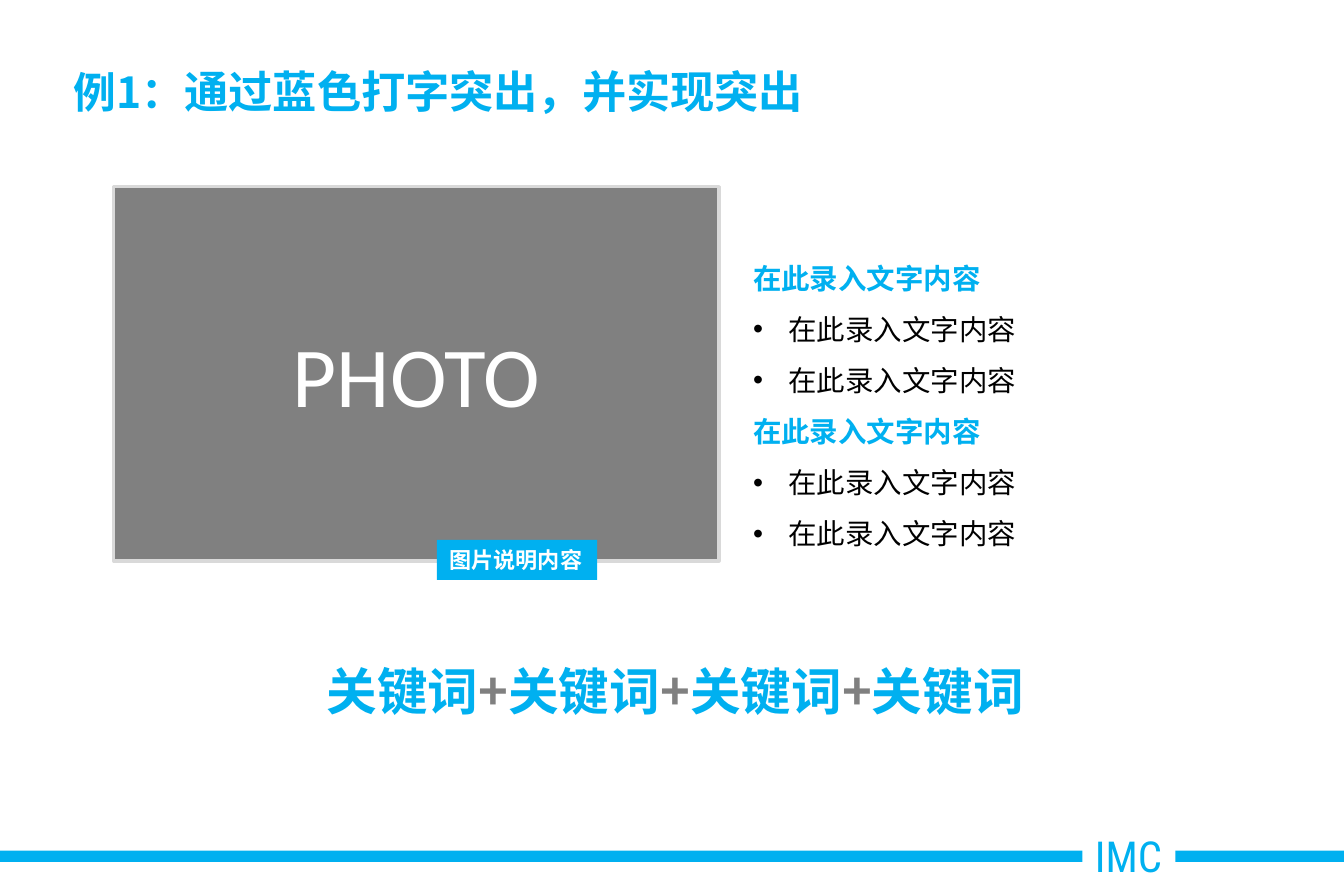
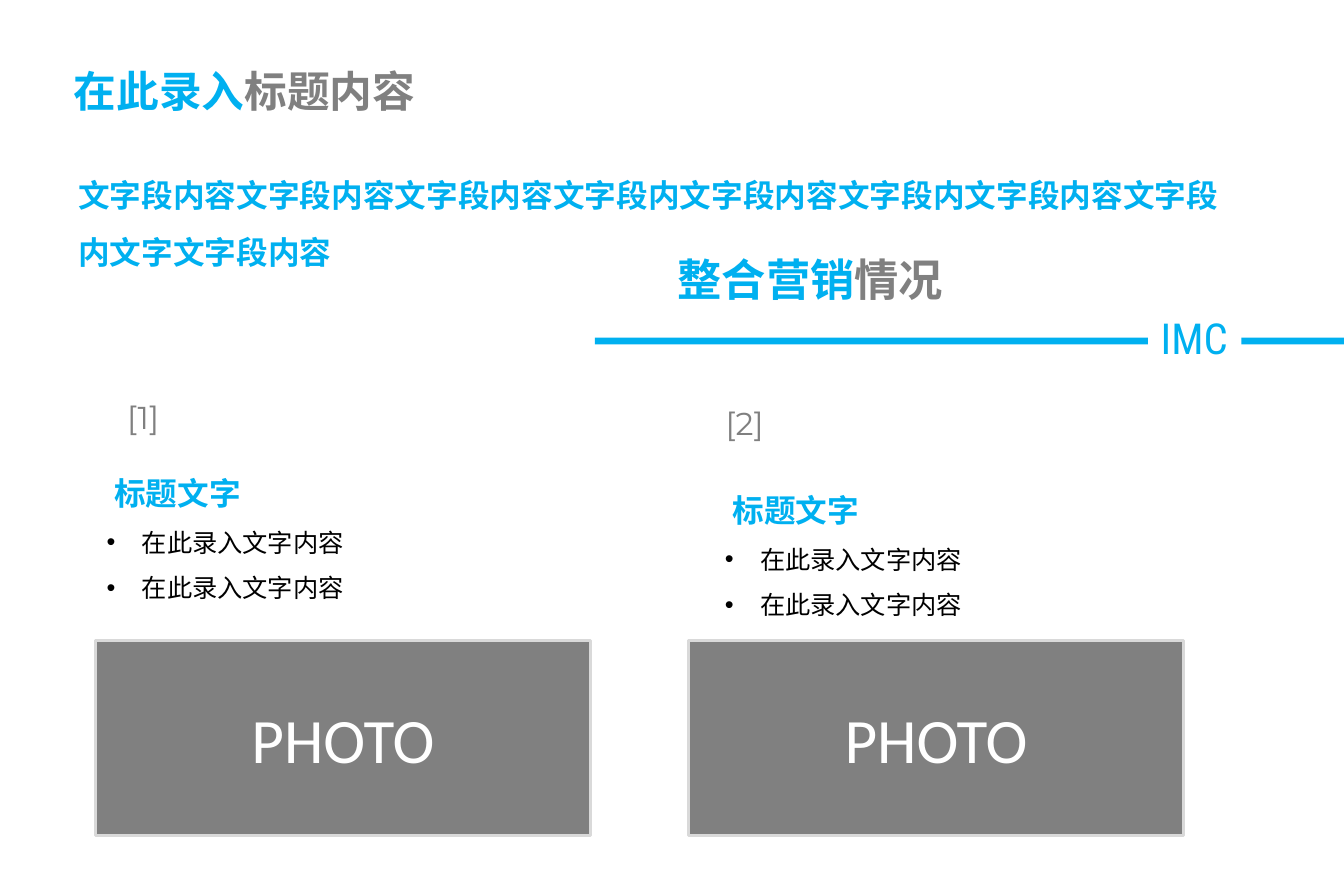
from pptx import Presentation
from pptx.dml.color import RGBColor
from pptx.enum import shapes, text
from pptx.oxml.ns import qn
from pptx.util import Cm, Pt

COLORS = {"blue": "00B0F0", "grey": "808080", "edge": "D9D9D9",
          "white": "FFFFFF", "black": "000000"}
CJK, LATIN, BRAND, NUMBER = "Noto Sans CJK SC", "Calibri", "Roboto Condensed", "Montserrat"
NARROW, WIDE = (0.25, 0.13), (0.28, 0.15)
BULLET_INDENT = 0.79

ITEM = "在此录入文字内容"
TITLES = [
    [("例1：", "blue", 27), ("通过蓝色打字突出，并实现突出", "blue", 28)],
    [("在此录入", "blue", 27), ("标题内容", "grey", 27)],
]
KEYWORDS = ["关键词"] * 4
CAPTION = "图片说明内容"
OUTLINE = [(ITEM, [ITEM, ITEM]), (ITEM, [ITEM, ITEM])]
SUMMARY = ("文字段内容文字段内容文字段内容文字段内文字段内容"
           "文字段内文字段内容文字段内文字文字段内容")
SECTION = [("整合营销", "blue", 28), ("情况", "grey", 28)]
COLUMNS = [
    {"number": "[1]", "number_at": (2.59, 8.76), "list_at": (2.13, 10.03),
     "photo_x": 2.13, "groups": [("标题文字", [ITEM, ITEM])]},
    {"number": "[2]", "number_at": (15.95, 8.89), "list_at": (15.93, 10.41),
     "photo_x": 15.37, "groups": [("标题文字", [ITEM, ITEM])]},
]


def rgb(name):
    return RGBColor.from_string(COLORS[name])


def add_runs(p, runs, font=CJK, bold=True):
    for words, color, size in runs:
        r = p.add_run()
        r.text = words
        r.font.name, r.font.size, r.font.bold = font, Pt(size), bold
        r.font.color.rgb = rgb(color)
        ea = r.font._element.makeelement(qn("a:ea"), {"typeface": font})
        r.font._element.find(qn("a:latin")).addnext(ea)


def add_rect(s, at, fill, edge=None):
    sp = s.shapes.add_shape(shapes.MSO_SHAPE.RECTANGLE, *map(Cm, at))
    sp.shadow.inherit = False
    sp.fill.solid()
    sp.fill.fore_color.rgb = rgb(fill)
    if edge:
        sp.line.color.rgb = rgb(edge)
        sp.line.width = Pt(2)
    else:
        sp.line.fill.background()
    return sp


def frame(sp, inset=NARROW, wrap=True, anchor=text.MSO_ANCHOR.TOP):
    tf = sp.text_frame
    tf.word_wrap, tf.vertical_anchor = wrap, anchor
    tf.margin_left = tf.margin_right = Cm(inset[0])
    tf.margin_top = tf.margin_bottom = Cm(inset[1])
    tf.paragraphs[0].alignment = text.PP_ALIGN.LEFT
    return tf


def add_text(s, at, runs, font=CJK, bold=True, spacing=None, **options):
    tf = frame(s.shapes.add_textbox(*map(Cm, at)), **options)
    p = tf.paragraphs[0]
    p.line_spacing = spacing
    add_runs(p, runs, font, bold)


def add_title(s, runs):
    add_text(s, (1.37, 1.24, 27, 1.57), runs, inset=WIDE,
             anchor=text.MSO_ANCHOR.MIDDLE)


def add_photo(s, at, size):
    tf = frame(add_rect(s, at, "grey", "edge"), anchor=text.MSO_ANCHOR.MIDDLE)
    p = tf.paragraphs[0]
    p.alignment = text.PP_ALIGN.CENTER
    add_runs(p, [("PHOTO", "white", size)], LATIN, False)


def add_band(s, bar, label_x, label_y):
    add_rect(s, bar, "blue")
    sp = add_rect(s, (label_x, label_y, 2.08, 1.45), "white")
    tf = frame(sp, WIDE, wrap=False)
    add_runs(tf.paragraphs[0], [("IMC", "blue", 27)], BRAND, False)


def add_outline(s, at, groups, head_size, item_size, head_indent=0):
    tf = frame(s.shapes.add_textbox(*map(Cm, at)))
    lines = [(words, is_head) for head, items in groups
             for words, is_head in [(head, True)] + [(i, False) for i in items]]
    for n, (words, is_head) in enumerate(lines):
        p = tf.add_paragraph() if n else tf.paragraphs[0]
        p.line_spacing = 1.5
        pPr = p._p.get_or_add_pPr()
        if is_head:
            pPr.set("marL", str(Cm(head_indent)))
            add_runs(p, [(words, "blue", head_size)])
        else:
            pPr.set("marL", str(Cm(BULLET_INDENT)))
            pPr.set("indent", str(-Cm(BULLET_INDENT)))
            for tag, attrs in (("a:buFont", {"typeface": "Arial"}),
                               ("a:buChar", {"char": "•"})):
                pPr.append(pPr.makeelement(qn(tag), attrs))
            add_runs(p, [(words, "black", item_size)], bold=False)


def build_example(s):
    add_band(s, (0, 19, 30, 0.25), 24.16, 18.39)
    add_photo(s, (2.54, 4.17, 13.51, 8.36), 54)
    add_title(s, TITLES[0])
    runs = []
    for word in KEYWORDS:
        if runs:
            runs.append(("+", "grey", 32))
        runs.append((word, "blue", 32))
    add_text(s, (7.01, 14.6, 16.87, 1.65), runs, inset=WIDE)
    tf = frame(add_rect(s, (9.75, 12.06, 3.58, 0.89), "blue"), WIDE, wrap=False)
    add_runs(tf.paragraphs[0], [(CAPTION, "white", 14)])
    add_outline(s, (16.56, 5.31, 12.12, 7.19), OUTLINE, 18, 18)


def build_columns(s):
    add_title(s, TITLES[1])
    add_band(s, (13.28, 7.54, 16.72, 0.15), 25.63, 6.81)
    add_text(s, (14.88, 5.51, 6.5, 1.45), SECTION, wrap=False)
    add_text(s, (1.5, 3.38, 26.62, 2.67), [(SUMMARY, "blue", 20)], spacing=1.5)
    for col in COLUMNS:
        add_text(s, (*col["number_at"], 1.55, 1.12),
                 [(col["number"], "grey", 20)], NUMBER, False)
        add_outline(s, (*col["list_at"], 7.59, 3.58), col["groups"], 20, 16, 0.17)
        add_photo(s, (col["photo_x"], 14.3, 11.05, 4.37), 40)


def main():
    prs = Presentation()
    prs.slide_width, prs.slide_height = Cm(30), Cm(20.01)
    for build in (build_example, build_columns):
        build(prs.slides.add_slide(prs.slide_layouts[6]))
    prs.save("out.pptx")


if __name__ == "__main__":
    main()
